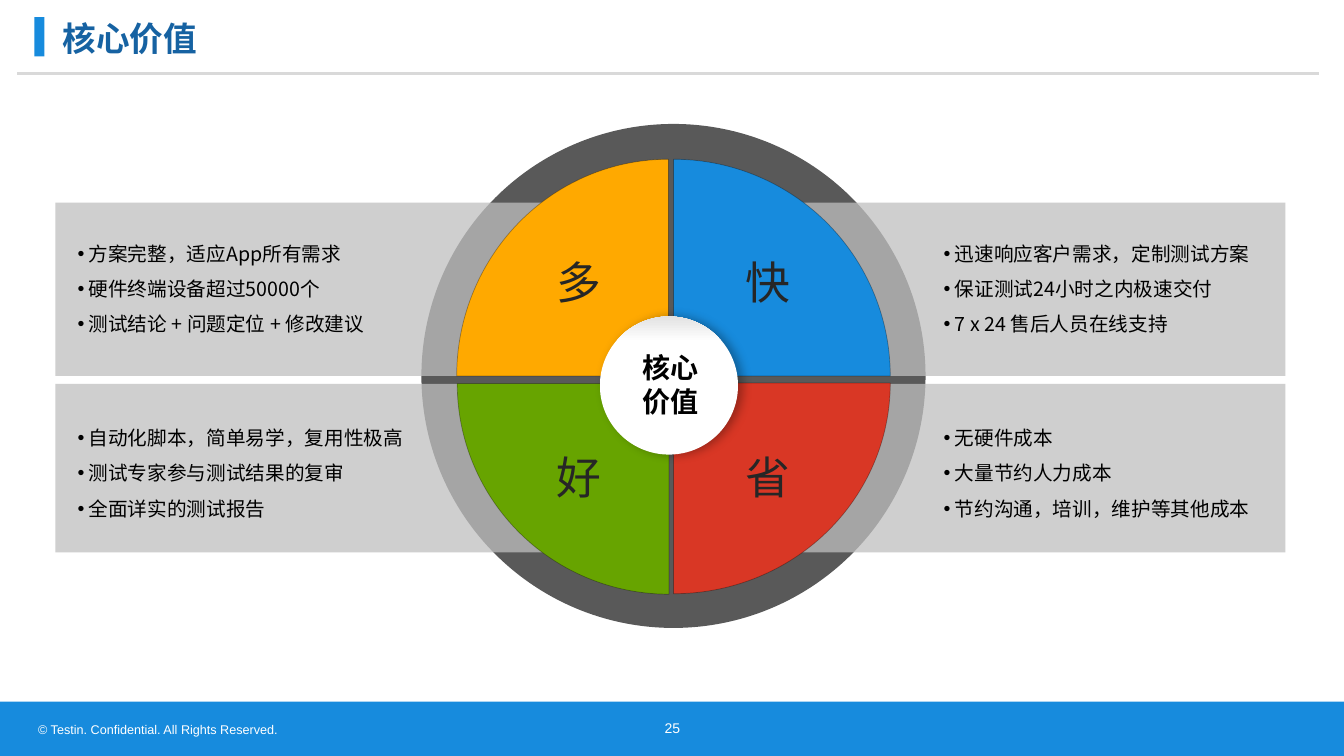
from lxml.etree import SubElement
from pptx import Presentation
from pptx.dml.color import RGBColor
from pptx.enum.shapes import MSO_CONNECTOR, MSO_SHAPE as SHAPE
from pptx.enum.text import MSO_ANCHOR as ANCHOR, PP_ALIGN as ALIGN
from pptx.oxml.ns import qn
from pptx.util import Emu, Pt

PX = 9144  # 100 px to the inch
CJK = "Noto Sans CJK SC"
BLACK = RGBColor(0x00, 0x00, 0x00)
WHITE = RGBColor(0xFF, 0xFF, 0xFF)
BLUE = RGBColor(0x17, 0x8B, 0xDD)
TITLE_BLUE = RGBColor(0x16, 0x62, 0xA2)
YELLOW = RGBColor(0xFF, 0xA9, 0x00)
RED = RGBColor(0xD9, 0x37, 0x25)
GREEN = RGBColor(0x67, 0xA4, 0x00)
INK = RGBColor(0x26, 0x26, 0x26)
PANEL_GREY = RGBColor(0xBF, 0xBF, 0xBF)
RULE_GREY = RGBColor(0xD9, 0xD9, 0xD9)
HUB_GREY = RGBColor(0xE2, 0xE2, 0xE2)

prs = Presentation()
prs.slide_width, prs.slide_height = Emu(1333 * PX), Emu(750 * PX)
s = prs.slides.add_slide(prs.slide_layouts[5])


def add_filled(kind, box, color, alpha=100):
    """Add a borderless preset shape; alpha is its opacity in percent."""
    sp = s.shapes.add_shape(kind, *(Emu(v * PX) for v in box))
    sp.shadow.inherit = False
    sp.line.fill.background()
    sp.fill.solid()
    sp.fill.fore_color.rgb = color
    if alpha < 100:
        clr = sp.element.spPr.find(qn("a:solidFill"))[0]
        SubElement(clr, qn("a:alpha"), val=str(alpha * 1000))
    return sp


def write(lines, box, size, color, sp=None, font=CJK, bold=False, align=ALIGN.LEFT,
          anchor=ANCHOR.TOP, inset=(10, 5), spacing=None, bullet=False):
    """Write one paragraph per line into sp, or into a new text box."""
    left, top, width, height = (Emu(v * PX) for v in box)
    if sp is None:
        sp = s.shapes.add_textbox(left, top, width, height)
    sp.left, sp.top, sp.width, sp.height = left, top, width, height
    tf = sp.text_frame
    tf.word_wrap = True
    tf.vertical_anchor = anchor
    tf.margin_left = tf.margin_right = Emu(inset[0] * PX)
    tf.margin_top = tf.margin_bottom = Emu(inset[1] * PX)
    for i, line in enumerate(lines):
        p = tf.paragraphs[0] if i == 0 else tf.add_paragraph()
        p.alignment = align
        if spacing:
            p.line_spacing = spacing
        if bullet:
            pPr = p._p.get_or_add_pPr()
            pPr.set("marL", str(11 * PX))
            pPr.set("indent", str(-11 * PX))
            SubElement(pPr, qn("a:buFont"), typeface="Arial")
            SubElement(pPr, qn("a:buChar"), char="•")
        r = p.add_run()
        r.text = line
        r.font.name, r.font.size, r.font.bold = font, Pt(size), bold
        r.font.color.rgb = color
        SubElement(r.font._element, qn("a:ea"), typeface=font)


# Header and footer
add_filled(SHAPE.RECTANGLE, (0, 696, 1333, 54), BLUE)
rule = s.shapes.add_connector(MSO_CONNECTOR.STRAIGHT, *(Emu(v * PX) for v in (17, 73, 1308, 73)))
rule.line.color.rgb = RULE_GREY
rule.line.width = Pt(2)
SubElement(rule.element.spPr, qn("a:effectLst"))
add_filled(SHAPE.RECTANGLE, (34, 17, 10, 39), BLUE)
write(["25"], (637, 695, 60, 55), 10, WHITE, font="Arial",
      align=ALIGN.CENTER, anchor=ANCHOR.MIDDLE, inset=(0, 0))
write(["© Testin. Confidential. All Rights Reserved."], (28, 711, 539, 37), 9, WHITE, font="Arial")
write(["核心价值"], (52, 11, 1279, 54), 24, TITLE_BLUE, sp=s.shapes.title,
      bold=True, anchor=ANCHOR.MIDDLE)

# Ring with four quadrants, each with a panel of points
add_filled(SHAPE.OVAL, (418, 123, 500, 500), BLACK, 65)
LEFT = (55, 69, 542)  # panel, points, label
RIGHT = (723, 928, 730)
TOP = (201, 172, 214, 248)  # panel, panel height, points, label
BOTTOM = (381, 167, 397, 441)
quadrants = [
    ("多", LEFT, TOP, YELLOW, (453, 158, 210, 215), 0,
     ["方案完整，适应App所有需求", "硬件终端设备超过50000个", "测试结论 + 问题定位 + 修改建议"]),
    ("快", RIGHT, TOP, BLUE, (668, 158, 215, 215), 90,
     ["迅速响应客户需求，定制测试方案", "保证测试24小时之内极速交付", "7 x 24 售后人员在线支持"]),
    ("省", RIGHT, BOTTOM, RED, (668, 380, 215, 209), 180,
     ["无硬件成本", "大量节约人力成本", "节约沟通，培训，维护等其他成本"]),
    ("好", LEFT, BOTTOM, GREEN, (454, 380, 209, 210), 270,
     ["自动化脚本，简单易学，复用性极高", "测试专家参与测试结果的复审", "全面详实的测试报告"]),
]
for label, (panel_x, points_x, label_x), (panel_y, panel_h, points_y, label_y), \
        color, wedge_box, angle, points in quadrants:
    add_filled(SHAPE.RECTANGLE, (panel_x, panel_y, 552, panel_h), PANEL_GREY, 75)
    write(points, (points_x, points_y, 355, 133), 14, BLACK, anchor=ANCHOR.MIDDLE,
          inset=(8, 4), spacing=1.5, bullet=True)
    wedge = add_filled(SHAPE.PIE_WEDGE, wedge_box, color)
    wedge.rotation = angle
    wedge.line.color.rgb = BLACK
    wedge.line.width = Pt(0.5)
    line_color = wedge.element.spPr.find(qn("a:ln")).find(qn("a:solidFill"))[0]
    SubElement(line_color, qn("a:alpha"), val="31000")
    write([label], (label_x, label_y, 83, 64), 32, INK)

# Hub
hub = add_filled(SHAPE.OVAL, (595, 314, 137, 137), WHITE)
hub.fill.gradient()
hub.fill.gradient_angle = 90
for stop, position, color in zip(hub.fill.gradient_stops, (0.82, 1), (WHITE, HUB_GREY)):
    stop.position = position
    stop.color.rgb = color
shadow = SubElement(hub.element.spPr.find(qn("a:effectLst")), qn("a:outerShdw"),
                    blurRad=str(Pt(7)), dist=str(Pt(3)), dir="0", algn="ctr", rotWithShape="0")
shadow_color = SubElement(shadow, qn("a:srgbClr"), val=str(BLACK))
SubElement(shadow_color, qn("a:alpha"), val="29000")
write(["核心", "价值"], (619, 348, 93, 67), 20, BLACK, bold=True, align=ALIGN.CENTER, inset=(0, 0))

prs.save("out.pptx")
